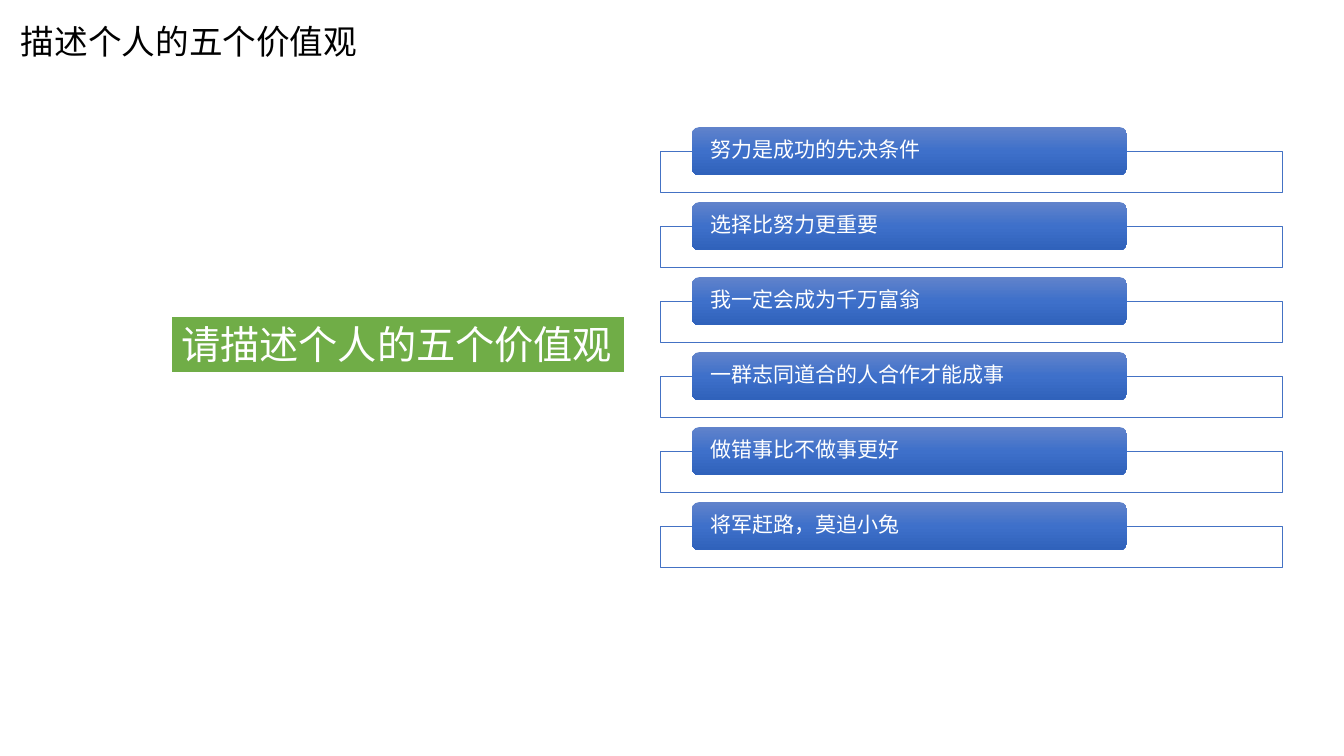
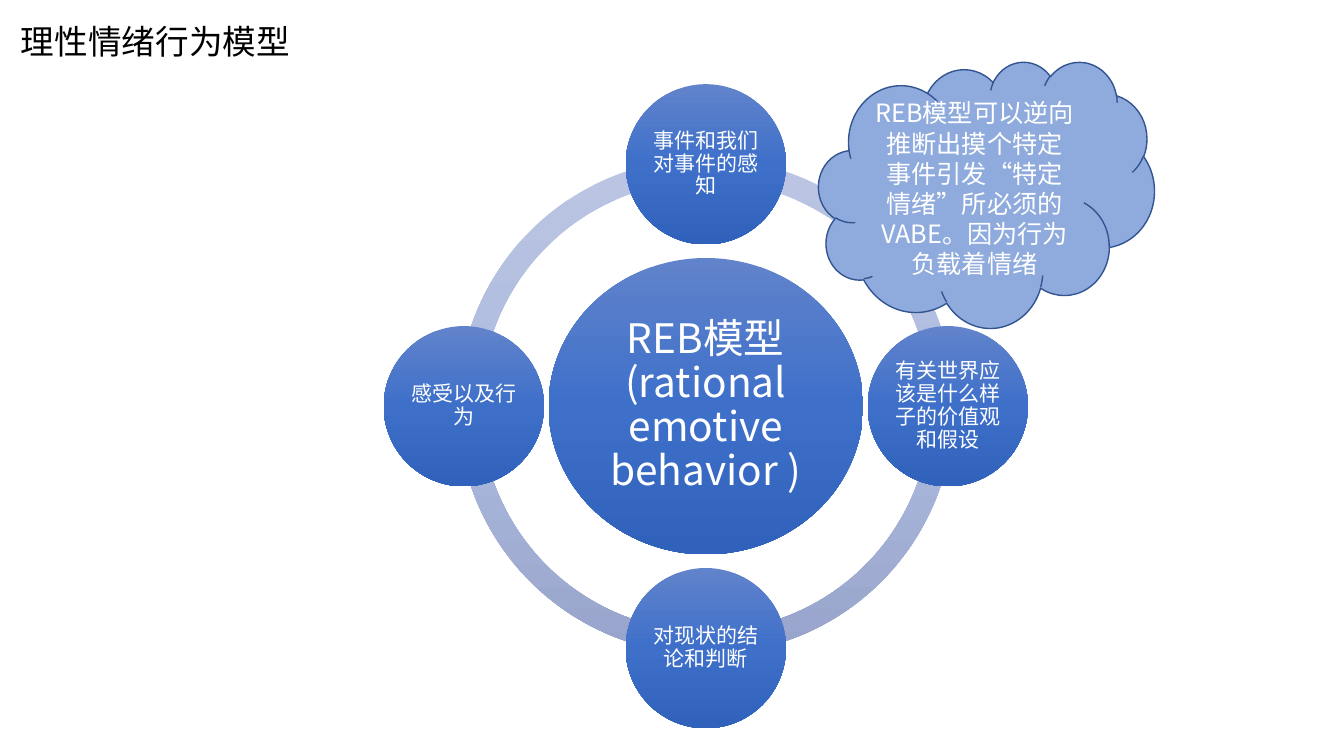
from dataclasses import dataclass
from math import cos, radians, sin

from lxml.etree import SubElement
from pptx import Presentation
from pptx.dml.color import RGBColor
from pptx.enum.shapes import MSO_SHAPE
from pptx.enum.text import MSO_ANCHOR, MSO_AUTO_SIZE, PP_ALIGN
from pptx.oxml.ns import qn
from pptx.util import Inches, Pt

# Shared style
FONT = "Noto Sans CJK SC"
COLORS = {
    "black": "000000", "white": "FFFFFF", "green": "70AD47",
    "blue": "4472C4", "cloud": "8FAADC", "cloud_line": "325491",
}
NODE_GRADIENT = ("6183CB", "3E70CA", "3062BB")
RING_GRADIENT = ("BBC5E3", "AEBBE0", "98A4CB")


@dataclass(frozen=True)
class Box:
    left: float
    top: float
    width: float
    height: float

    @classmethod
    def centred(cls, x: float, y: float, width: float, height: float) -> "Box":
        return cls(x - width / 2, y - height / 2, width, height)

    def emu(self) -> tuple:
        return tuple(Inches(v) for v in (self.left, self.top, self.width, self.height))


@dataclass(frozen=True)
class TextStyle:
    size: float
    color: str = "white"
    align: PP_ALIGN = PP_ALIGN.LEFT
    anchor: MSO_ANCHOR = MSO_ANCHOR.MIDDLE
    spacing: float = 1.0
    inset_x: float = 0.1
    inset_y: float = 0.05


@dataclass(frozen=True)
class Node:
    text: str
    angle: int  # degrees clockwise from the right


TITLE = TextStyle(24, "black", spacing=0.9)
BANNER = TextStyle(28, anchor=MSO_ANCHOR.TOP)
BAR = TextStyle(15, spacing=0.9, inset_x=0.16, inset_y=0)
HUB = TextStyle(29, align=PP_ALIGN.CENTER, spacing=0.9, inset_x=0.04, inset_y=0.04)
NODE = TextStyle(15, align=PP_ALIGN.CENTER, spacing=0.9, inset_x=0.02, inset_y=0.02)
CLOUD = TextStyle(18, align=PP_ALIGN.CENTER)


def write(shape, text: str, style: TextStyle) -> None:
    tf = shape.text_frame
    tf.text = text
    tf.word_wrap = True
    tf.vertical_anchor = style.anchor
    tf.margin_left = tf.margin_right = Inches(style.inset_x)
    tf.margin_top = tf.margin_bottom = Inches(style.inset_y)
    p = tf.paragraphs[0]
    p.alignment = style.align
    p.line_spacing = style.spacing
    for r in p.runs:
        r.font.size = Pt(style.size)
        r.font.name = FONT
        r.font.color.rgb = RGBColor.from_string(COLORS[style.color])
        SubElement(r.font._element, qn("a:ea")).set("typeface", FONT)


def add_shape(s, kind: MSO_SHAPE, box: Box, fill: str | tuple,
              line: str | None = None, line_width: float = 1):
    sp = s.shapes.add_shape(kind, *box.emu())
    sp.shadow.inherit = False
    if isinstance(fill, tuple):
        set_gradient(sp, fill)
    else:
        sp.fill.solid()
        sp.fill.fore_color.rgb = RGBColor.from_string(COLORS[fill])
    if line:
        sp.line.color.rgb = RGBColor.from_string(COLORS[line])
        sp.line.width = Pt(line_width)
    else:
        sp.line.fill.background()
    return sp


def set_gradient(sp, colors: tuple) -> None:
    """Blend the colours evenly from top to bottom."""
    sp.fill.gradient()
    sp.fill.gradient_angle = 270
    stops = sp._element.spPr.find(qn("a:gradFill")).find(qn("a:gsLst"))
    for stop in list(stops):
        stops.remove(stop)
    for i, color in enumerate(colors):
        stop = SubElement(stops, qn("a:gs"))
        stop.set("pos", str(100000 * i // (len(colors) - 1)))
        SubElement(stop, qn("a:srgbClr")).set("val", color)


def add_slide(prs, title: str):
    s = prs.slides.add_slide(prs.slide_layouts[6])
    write(s.shapes.add_textbox(*Box(0.11, 0.04, 11.58, 0.79).emu()), title, TITLE)
    return s


def add_value_row(s, top: float, text: str) -> None:
    frame = add_shape(s, MSO_SHAPE.RECTANGLE, Box(6.55, top, 6.17, 0.41),
                      "white", "blue", 0.5)
    color = frame._element.spPr.find(qn("a:solidFill"))[0]
    SubElement(color, qn("a:alpha")).set("val", "90000")
    bar = add_shape(s, MSO_SHAPE.ROUNDED_RECTANGLE,
                    Box(6.86, top - 0.24, 4.32, 0.48), NODE_GRADIENT)
    write(bar, text, BAR)


def add_circle(s, box: Box, text: str, style: TextStyle) -> None:
    write(add_shape(s, MSO_SHAPE.OVAL, box, NODE_GRADIENT), text, style)


prs = Presentation()
prs.slide_width, prs.slide_height = Inches(13.33), Inches(7.5)

# Slide 1: personal values
VALUES = ("努力是成功的先决条件", "选择比努力更重要", "我一定会成为千万富翁",
          "一群志同道合的人合作才能成事", "做错事比不做事更好", "将军赶路，莫追小兔")
ROW_PITCH = 3.72 / 5

s = add_slide(prs, "描述个人的五个价值观")
banner = add_shape(s, MSO_SHAPE.RECTANGLE, Box(1.7, 3.13, 4.5, 0.57),
                   "green", "white", 1.5)
write(banner, "请描述个人的五个价值观", BANNER)
banner.text_frame.auto_size = MSO_AUTO_SIZE.SHAPE_TO_FIT_TEXT
for i, value in enumerate(VALUES):
    add_value_row(s, 1.5 + i * ROW_PITCH, value)

# Slide 2: behaviour cycle
NODES = (
    Node("事件和我们对事件的感知", 270),
    Node("有关世界应该是什么样子的价值观和假设", 0),
    Node("对现状的结论和判断", 90),
    Node("感受以及行为", 180),
)
CENTER_X, CENTER_Y, ORBIT = 7, 4.03, 2.4
QUARTER = 54  # 90 degrees in adjustment units

s = add_slide(prs, "理性情绪行为模型")
for i in range(len(NODES)):
    arc = add_shape(s, MSO_SHAPE.BLOCK_ARC,
                    Box.centred(CENTER_X, CENTER_Y, 4.92, 4.92), RING_GRADIENT)
    arc.adjustments[0] = i * QUARTER
    arc.adjustments[1] = (i + 1) % len(NODES) * QUARTER
    arc.adjustments[2] = 0.046
add_circle(s, Box.centred(CENTER_X, CENTER_Y, 3.12, 2.94),
           "REB模型(rational emotive behavior )", HUB)
for node in NODES:
    x = CENTER_X + ORBIT * cos(radians(node.angle))
    y = CENTER_Y + ORBIT * sin(radians(node.angle))
    add_circle(s, Box.centred(x, y, 1.59, 1.59), node.text, NODE)

# Remark
cloud = add_shape(s, MSO_SHAPE.CLOUD, Box(8.12, 0.61, 3.33, 2.64), "cloud", "cloud_line")
write(cloud, "REB模型可以逆向推断出摸个特定事件引发“特定情绪”所必须的VABE。因为行为负载着情绪", CLOUD)

prs.save("out.pptx")
